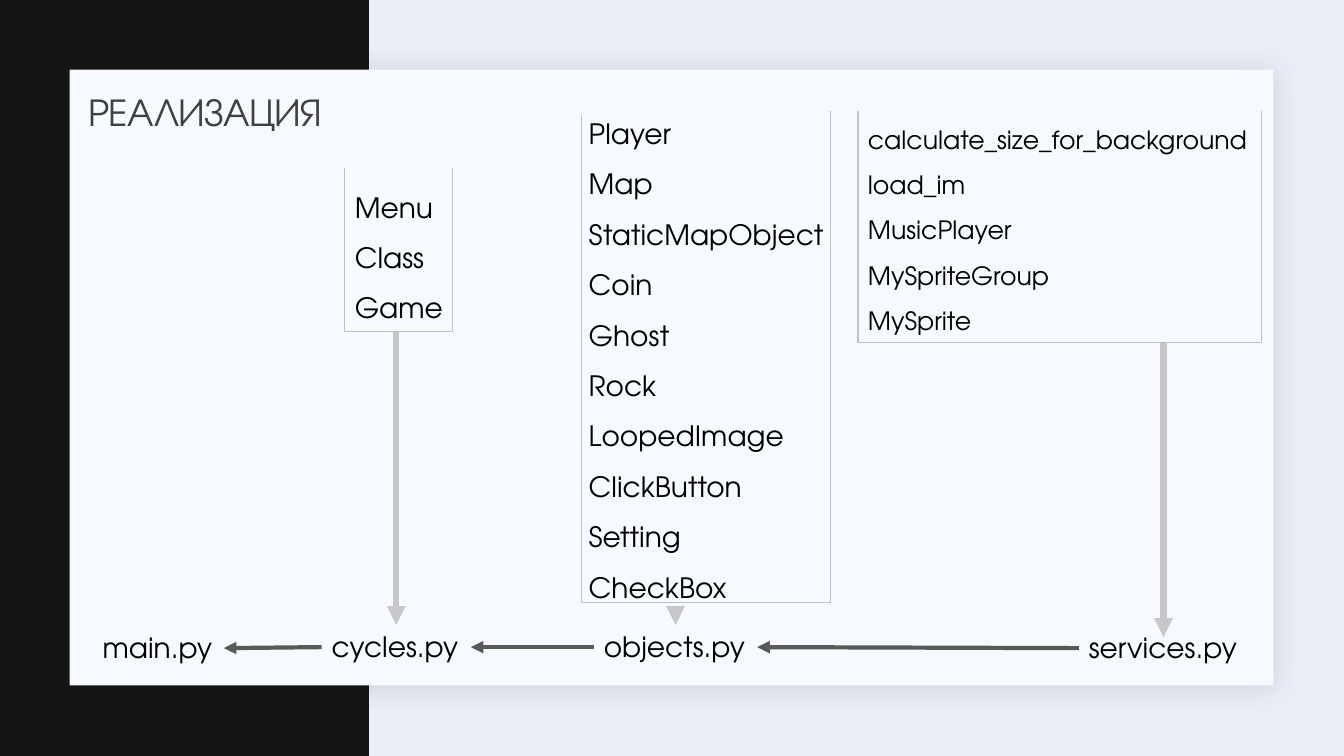
from dataclasses import dataclass

from lxml import etree
from pptx import Presentation
from pptx.dml.color import RGBColor
from pptx.enum.shapes import MSO_CONNECTOR, MSO_SHAPE
from pptx.enum.text import MSO_ANCHOR, MSO_AUTO_SIZE
from pptx.oxml import parse_xml
from pptx.oxml.ns import nsdecls, qn
from pptx.shapes.autoshape import Shape
from pptx.shapes.connector import Connector
from pptx.slide import Slide
from pptx.util import Emu, Pt

PX = 9144  # EMU per px, 100 px to the inch
FONT = "TeX Gyre Adventor"
COLORS = {
    "background": "ECEEF7",
    "band": "141514",
    "card": "F6F9FF",
    "shadow": "1F2125",
    "title": "404040",
    "text": "000000",
    "import": "595959",
    "bracket": "C0C0C4",
    "contents": "C7C7CB",
}
TOP, LEFT, RIGHT = 0, 1, 3


@dataclass(frozen=True)
class Box:
    left: int
    top: int
    width: int
    height: int


@dataclass(frozen=True)
class Module:
    name: str
    box: Box


@dataclass(frozen=True)
class Bracket:
    left: int
    right: int
    left_top: int
    right_top: int
    bottom: int


@dataclass(frozen=True)
class Contents:
    names: tuple[str, ...]
    size: int
    box: Box
    bracket: Bracket
    arrow: tuple[int, int, int]  # x, start y, end y
    target: str | None  # module whose top the arrow joins


MODULES = (
    Module("main.py", Box(92, 621, 130, 44)),
    Module("cycles.py", Box(319, 620, 148, 44)),
    Module("objects.py", Box(589, 620, 162, 44)),
    Module("services.py", Box(1070, 621, 168, 44)),
)
CONTENTS = (
    Contents(("Menu", "Class", "Game"), 20, Box(342, 167, 125, 162),
             Bracket(342, 449, 167, 167, 329), (393, 329, 620), "cycles.py"),
    Contents(("Player", "Map", "StaticMapObject", "Coin", "Ghost", "Rock",
              "LoopedImage", "ClickButton", "Setting", "CheckBox"),
             20, Box(574, 94, 259, 515),
             Bracket(577, 824, 114, 110, 598), (670, 609, 620), "objects.py"),
    Contents(("calculate_size_for_background", "load_im", "MusicPlayer",
              "MySpriteGroup", "MySprite"), 18, Box(851, 103, 401, 237),
             Bracket(851, 1251, 110, 110, 340), (1154, 340, 632), None),
)


def px(value: int) -> Emu:
    return Emu(value * PX)


def color(name: str) -> RGBColor:
    return RGBColor.from_string(COLORS[name])


def add_panel(page: Slide, box: Box, fill: str) -> Shape:
    panel = page.shapes.add_shape(MSO_SHAPE.RECTANGLE, px(box.left), px(box.top),
                                  px(box.width), px(box.height))
    panel.shadow.inherit = False
    panel.fill.solid()
    panel.fill.fore_color.rgb = color(fill)
    panel.line.fill.background()
    return panel


def add_soft_shadow(panel: Shape) -> None:
    effects = panel._element.spPr.find(qn("a:effectLst"))
    effects.append(parse_xml(
        f'<a:outerShdw {nsdecls("a")} blurRad="{Pt(20)}" dist="{Pt(2)}" '
        f'dir="2700000" algn="tl" rotWithShape="0">'
        f'<a:srgbClr val="{COLORS["shadow"]}"><a:alpha val="15000"/></a:srgbClr>'
        f'</a:outerShdw>'))


def add_text(page: Slide, box: Box, text: str, size: int, fill: str = "text",
             spacing: float = 1.0, wrap: bool = True) -> Shape:
    label = page.shapes.add_textbox(px(box.left), px(box.top),
                                    px(box.width), px(box.height))
    frame = label.text_frame
    frame.text = text
    frame.word_wrap = wrap
    frame.auto_size = MSO_AUTO_SIZE.SHAPE_TO_FIT_TEXT
    for para in frame.paragraphs:
        para.line_spacing = spacing
        for span in para.runs:
            span.font.name = FONT
            span.font.size = Pt(size)
            span.font.color.rgb = color(fill)
    return label


def add_line(page: Slide, start: tuple[int, int], end: tuple[int, int],
             stroke: str, width: float, arrow: bool = False) -> Connector:
    line = page.shapes.add_connector(MSO_CONNECTOR.STRAIGHT, px(start[0]),
                                     px(start[1]), px(end[0]), px(end[1]))
    line.line.color.rgb = color(stroke)
    line.line.width = Pt(width)
    if arrow:
        outline = line.line._get_or_add_ln()
        etree.SubElement(outline, qn("a:tailEnd"), type="triangle")
    etree.SubElement(line._element.spPr, qn("a:effectLst"))
    return line


def add_bracket(page: Slide, bracket: Bracket) -> None:
    bottom_left = (bracket.left, bracket.bottom)
    bottom_right = (bracket.right, bracket.bottom)
    for start, end in (
        ((bracket.left, bracket.left_top), bottom_left),
        ((bracket.right, bracket.right_top), bottom_right),
        (bottom_left, bottom_right),
    ):
        add_line(page, start, end, "bracket", 1)


def main() -> None:
    deck = Presentation()
    deck.slide_width, deck.slide_height = px(1333), px(750)
    page = deck.slides.add_slide(deck.slide_layouts[6])

    # Backdrop
    page.background.fill.solid()
    page.background.fill.fore_color.rgb = color("background")
    add_panel(page, Box(0, 0, 366, 750), "band")
    add_soft_shadow(add_panel(page, Box(69, 69, 1194, 611), "card"))

    # Title
    title = add_text(page, Box(78, 81, 1100, 64), "РЕАЛИЗАЦИЯ", 28, "title", 0.9)
    title.text_frame.auto_size = MSO_AUTO_SIZE.NONE
    title.text_frame.vertical_anchor = MSO_ANCHOR.MIDDLE
    title.text_frame.paragraphs[0].runs[0].font._element.set("spc", "-50")

    # Module names, each imported by the one on its left
    labels = {module.name: add_text(page, module.box, module.name, 20, wrap=False)
              for module in MODULES}
    for importer, imported in zip(MODULES, MODULES[1:]):
        start = (imported.box.left, imported.box.top + 22)
        end = (importer.box.left + importer.box.width, importer.box.top + 22)
        arrow = add_line(page, start, end, "import", 3, arrow=True)
        arrow.begin_connect(labels[imported.name], LEFT)
        arrow.end_connect(labels[importer.name], RIGHT)

    # Contents of the modules
    for contents in CONTENTS:
        add_text(page, contents.box, "\n".join(contents.names), contents.size,
                 spacing=1.5)
        add_bracket(page, contents.bracket)
        x, start_y, end_y = contents.arrow
        arrow = add_line(page, (x, start_y), (x, end_y), "contents", 4.5, arrow=True)
        if contents.target:
            arrow.end_connect(labels[contents.target], TOP)

    deck.save("out.pptx")


if __name__ == "__main__":
    main()
